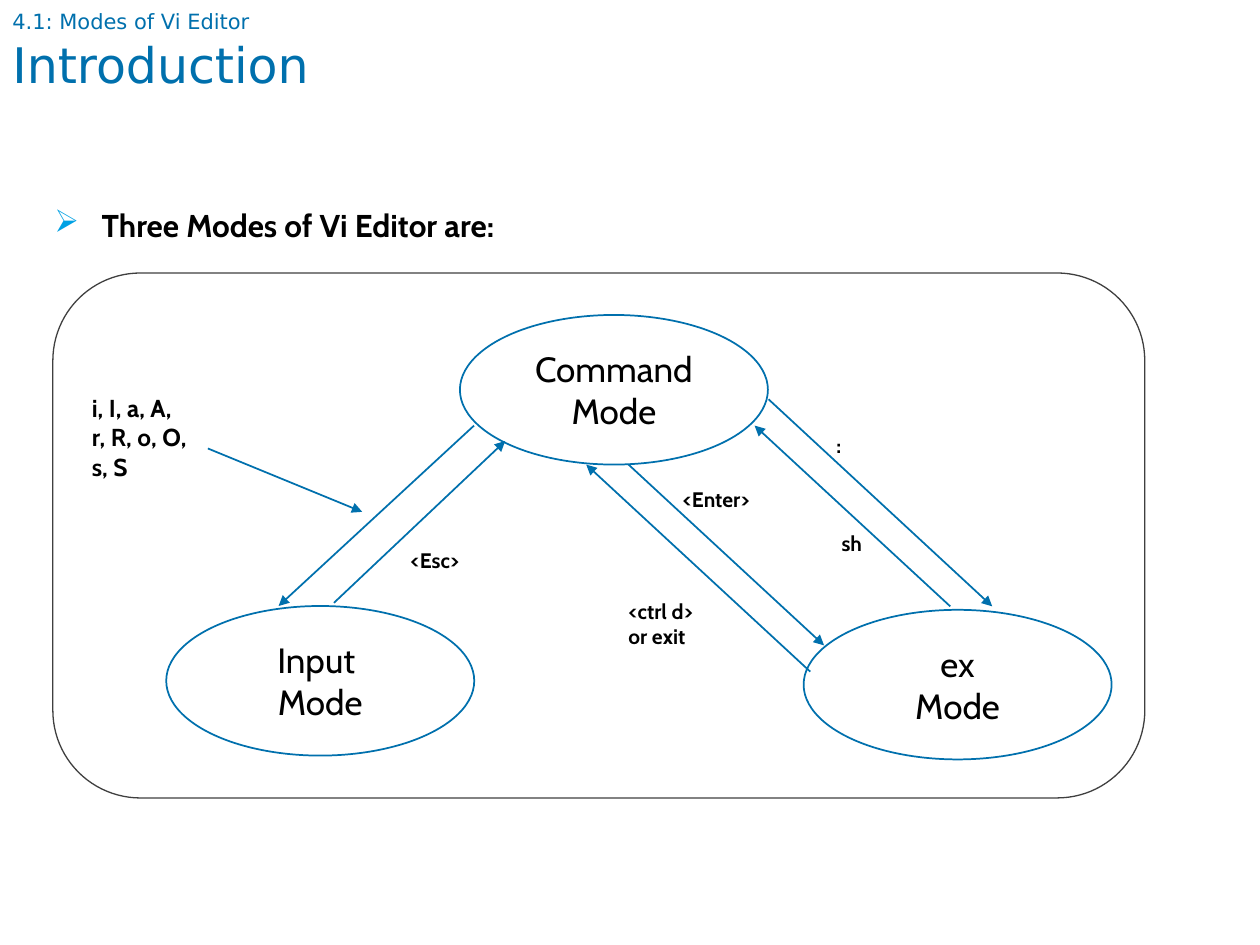
from lxml.etree import SubElement
from pptx import Presentation
from pptx.dml.color import RGBColor
from pptx.enum.shapes import MSO_CONNECTOR, MSO_SHAPE
from pptx.enum.text import MSO_ANCHOR, PP_ALIGN
from pptx.oxml.ns import qn
from pptx.util import Pt

THEME = {
    "blue": RGBColor(0x00, 0x70, 0xAD),
    "black": RGBColor(0x00, 0x00, 0x00),
    "white": RGBColor(0xFF, 0xFF, 0xFF),
    "frame": RGBColor(0x3F, 0x3F, 0x3F),
    "bullet": "00A1E4",
    "heading_font": "DejaVu Sans",
    "body_font": "Cabin",
    "title": 28,
    "mode": 20,
    "lead": 18,
    "keys": 14,
    "small": 12,
}


def write_lines(shape, lines, size, color="black", font="body_font",
                bold=False, wrap=False, align=PP_ALIGN.LEFT):
    """Put each line in its own paragraph, all in one type style."""
    frame = shape.text_frame
    frame.word_wrap = wrap
    frame.text = "\n".join(lines)
    font_format = {"name": THEME[font], "size": Pt(THEME[size]), "bold": bold}
    for para in frame.paragraphs:
        para.alignment = align
        for span in para.runs:
            for name, value in font_format.items():
                setattr(span.font, name, value)
            span.font.color.rgb = THEME[color]
    return frame


deck = Presentation()
deck.slide_width, deck.slide_height = Pt(720), Pt(540)
slide = deck.slides.add_slide(deck.slide_layouts[6])
shapes = slide.shapes

# Title with its section line
title_box = shapes.add_textbox(Pt(0), Pt(1.5), Pt(648), Pt(62.5))
title = write_lines(title_box, ["4.1: Modes of Vi Editor", "Introduction"],
                    "title", "blue", "heading_font", wrap=True)
title.paragraphs[0].runs[0].font.size = Pt(THEME["small"])

# Mode ellipses: left, top, lines
modes = [
    (262.8, 180, ["Command", "Mode"]),
    (459.2, 348.5, ["ex", "Mode"]),
    (95, 346.3, ["Input ", "Mode"]),
]
for left, top, lines in modes:
    mode = shapes.add_shape(MSO_SHAPE.OVAL, Pt(left), Pt(top), Pt(176), Pt(85.5))
    mode.shadow.inherit = False
    mode.fill.solid()
    mode.fill.fore_color.rgb = THEME["white"]
    mode.line.color.rgb = THEME["blue"]
    mode.line.width = Pt(1)
    text = write_lines(mode, lines, "mode", align=PP_ALIGN.CENTER)
    text.vertical_anchor = MSO_ANCHOR.MIDDLE

# Transition arrows: start x, start y, end x, end y
arrows = [
    (270.9, 243.2, 159.2, 346.3),  # command to input
    (190.8, 344.5, 288.7, 252),    # input to command
    (359.2, 265.5, 470.9, 368.8),  # command to ex
    (463, 383.8, 335, 265.5),      # ex to command
    (543, 346.5, 431.2, 243.2),    # ex to command, by shell
    (439.2, 228.2, 567, 346.5),    # command to ex, by colon
    (118.8, 256.3, 207, 292.5),    # input keys pointer
]
for points in arrows:
    arrow = shapes.add_connector(MSO_CONNECTOR.STRAIGHT, *map(Pt, points))
    arrow.line.color.rgb = THEME["blue"]
    arrow.line.width = Pt(1)
    SubElement(arrow.line._get_or_add_ln(), qn("a:tailEnd"), type="triangle")
    SubElement(arrow._element.spPr, qn("a:effectLst"))

# Transition labels: left, top, width, height, size, lines
labels = [
    (45.4, 221, 68.4, 58.3, "keys", ["i, I, a, A,", "r, R, o, O,", "s, S"]),
    (227.5, 309.6, 44, 21.6, "small", ["<Esc>"]),
    (383, 274.3, 54.7, 21.6, "small", ["<Enter>"]),
    (473.8, 299.5, 26, 21.6, "small", ["sh"]),
    (470.9, 243.4, 17.3, 21.6, "small", [":"]),
    (352, 338.4, 53.3, 36.7, "small", ["<ctrl d>", "or exit"]),
]
for left, top, width, height, size, lines in labels:
    label = shapes.add_textbox(Pt(left), Pt(top), Pt(width), Pt(height))
    write_lines(label, lines, size, bold=True)

# Rounded frame around the diagram
border = shapes.add_shape(MSO_SHAPE.ROUNDED_RECTANGLE,
                          Pt(30.2), Pt(156), Pt(624), Pt(300))
border.shadow.inherit = False
border.adjustments[0] = 0.167
border.fill.background()
border.line.color.rgb = THEME["frame"]
border.line.width = Pt(0.75)

# Bulleted lead line
lead_box = shapes.add_textbox(Pt(24), Pt(96), Pt(648), Pt(54.7))
lead = write_lines(lead_box, ["Three Modes of Vi Editor are:"], "lead",
                   bold=True, wrap=True).paragraphs[0]
lead.line_spacing = Pt(40)
properties = lead._p.get_or_add_pPr()
for name, value in {"marL": Pt(27), "indent": Pt(-27)}.items():
    properties.set(name, str(value))
bullet_color = SubElement(properties, qn("a:buClr"))
SubElement(bullet_color, qn("a:srgbClr"), val=THEME["bullet"])
SubElement(properties, qn("a:buChar"), char="➢")

deck.save("out.pptx")
